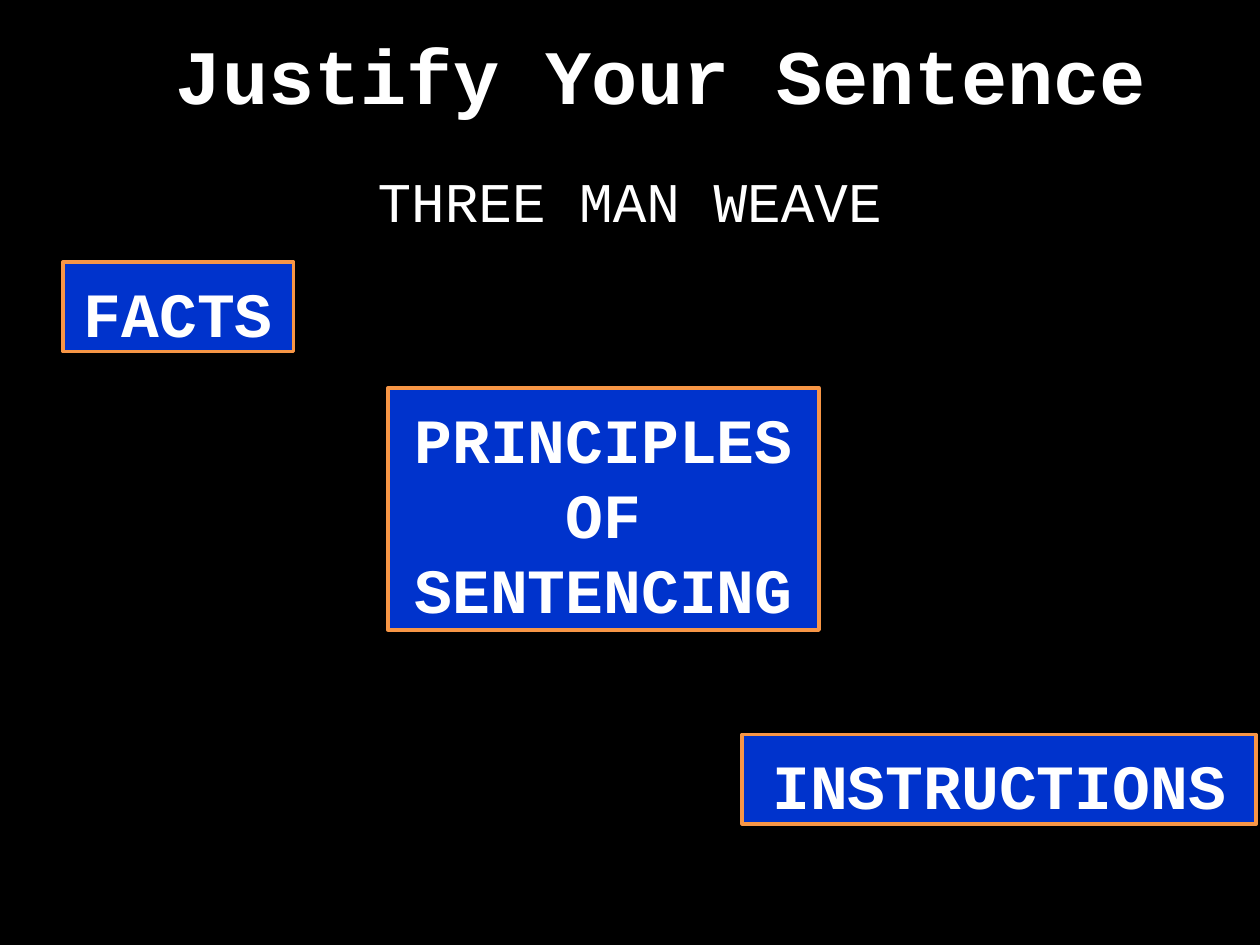
from dataclasses import dataclass

from pptx import Presentation
from pptx.dml.color import RGBColor
from pptx.enum import shapes, text
from pptx.util import Inches, Pt

FONT = "Courier New"
COLORS = {"background": "000000", "text": "FFFFFF", "box": "0033CC", "border": "F79646"}


@dataclass
class Step:
    label: str
    left: float
    top: float
    width: float
    height: float


STEPS = [
    Step("FACTS", 0.5, 2.08, 1.83, 0.71),
    Step("PRINCIPLES OF SENTENCING", 3.08, 3.08, 3.42, 1.92),
    Step("INSTRUCTIONS", 5.89, 5.83, 4.08, 0.71),
]


def color(name: str) -> RGBColor:
    return RGBColor.from_string(COLORS[name])


def place(shape, left: float, top: float, width: float, height: float) -> None:
    shape.left, shape.top = Inches(left), Inches(top)
    shape.width, shape.height = Inches(width), Inches(height)


def write(shape, words: str, size: int, bold: bool, inset: float,
          anchor=text.MSO_ANCHOR.TOP) -> None:
    """Fill a shape with one centred line of wrapping text."""
    frame = shape.text_frame
    frame.text = words
    frame.word_wrap = True
    frame.auto_size = text.MSO_AUTO_SIZE.NONE
    frame.vertical_anchor = anchor
    frame.margin_top = Inches(inset)
    paragraph = frame.paragraphs[0]
    paragraph.alignment = text.PP_ALIGN.CENTER
    font = paragraph.runs[0].font
    font.name, font.size, font.bold = FONT, Pt(size), bold
    font.color.rgb = color("text")


def draw_step(slide, step: Step) -> None:
    box = slide.shapes.add_shape(
        shapes.MSO_SHAPE.RECTANGLE, Inches(step.left), Inches(step.top),
        Inches(step.width), Inches(step.height))
    box.shadow.inherit = False
    box.fill.solid()
    box.fill.fore_color.rgb = color("box")
    box.line.color.rgb = color("border")
    box.line.width = Pt(2)
    write(box, step.label, 36, True, 0.1)
    box.text_frame.margin_bottom = 0
    box.text_frame.paragraphs[0].line_spacing = Pt(43)


def main() -> None:
    deck = Presentation()
    deck.slide_width, deck.slide_height = Inches(10), Inches(7.5)
    slide = deck.slides.add_slide(deck.slide_layouts[5])
    slide.background.fill.solid()
    slide.background.fill.fore_color.rgb = color("background")

    # Title and subtitle
    title = slide.shapes.title
    place(title, 0.5, 0, 9.5, 1)
    write(title, "Justify Your Sentence", 44, True, 0.22, text.MSO_ANCHOR.MIDDLE)
    subtitle = slide.shapes.add_textbox(Inches(0.5), Inches(1.25), Inches(9), Inches(5.75))
    write(subtitle, "THREE MAN WEAVE", 32, False, 0.07)

    # Staggered steps
    for step in STEPS:
        draw_step(slide, step)

    deck.save("out.pptx")


if __name__ == "__main__":
    main()
